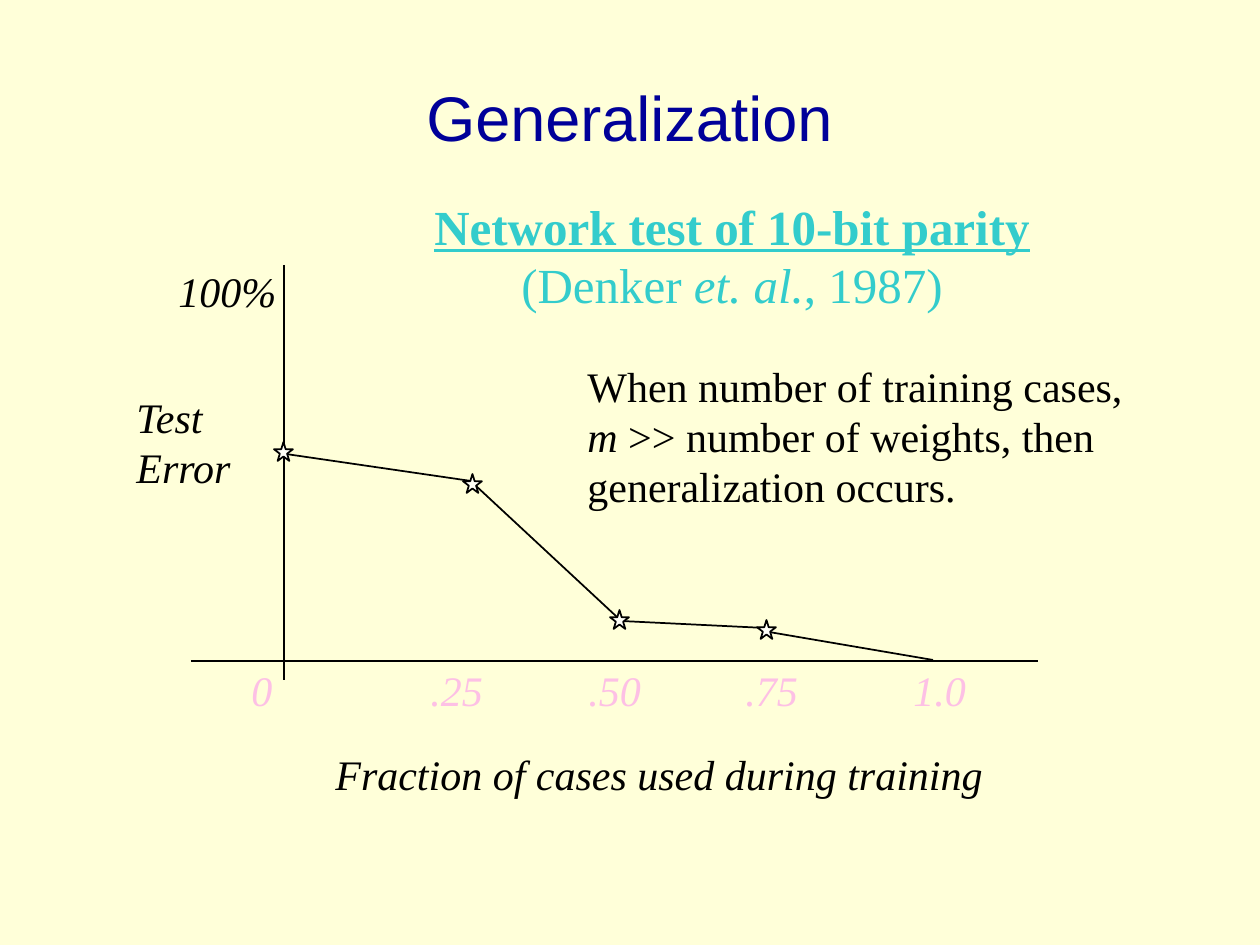
"""Build the Generalization slide: test error against fraction of cases used in training."""
from dataclasses import dataclass

from lxml import etree
from pptx import Presentation
from pptx.dml.color import RGBColor
from pptx.enum.shapes import MSO_CONNECTOR, MSO_SHAPE
from pptx.enum.text import MSO_ANCHOR, MSO_AUTO_SIZE, PP_ALIGN
from pptx.oxml.ns import qn
from pptx.util import Emu, Pt

STRAIGHT = MSO_CONNECTOR.STRAIGHT
STAR = MSO_SHAPE.STAR_5_POINT
MIDDLE = MSO_ANCHOR.MIDDLE
NO_FIT, FIT_SHAPE = MSO_AUTO_SIZE.NONE, MSO_AUTO_SIZE.SHAPE_TO_FIT_TEXT
LEFT, CENTER = PP_ALIGN.LEFT, PP_ALIGN.CENTER
SCALE = 914400 / 126


@dataclass(frozen=True)
class Theme:
    background: RGBColor = RGBColor(0xFF, 0xFF, 0xD9)
    title: RGBColor = RGBColor(0x00, 0x00, 0x99)
    ink: RGBColor = RGBColor(0x00, 0x00, 0x00)
    tick: RGBColor = RGBColor(0xFD, 0xC0, 0xE5)
    heading: RGBColor = RGBColor(0x33, 0xCC, 0xCC)
    star: RGBColor = RGBColor(0xFF, 0xFF, 0xF7)
    title_font: str = "Arial"
    body_font: str = "Times New Roman"
    title_size: Pt = Pt(36)
    heading_size: Pt = Pt(28)
    body_size: Pt = Pt(24)
    line_width: Pt = Pt(1)


theme = Theme()


def to_emu(*pixels):
    return [Emu(round(pixel * SCALE)) for pixel in pixels]


def add_text(box, lines, color=theme.ink, size=theme.body_size, align=LEFT, italic=False):
    text_frame = slide.shapes.add_textbox(*to_emu(*box)).text_frame
    text_frame.word_wrap = False
    text_frame.auto_size = FIT_SHAPE
    for index, runs in enumerate(lines):
        paragraph = text_frame.paragraphs[0] if index == 0 else text_frame.add_paragraph()
        paragraph.alignment = align
        paragraph.font.name = theme.body_font
        paragraph.font.size = size
        paragraph.font.color.rgb = color
        paragraph.font.italic = italic
        for text in runs:
            run = paragraph.add_run()
            run.text = text.strip("*")
            if text.startswith("*"):
                run.font.italic = True
    return text_frame


presentation = Presentation()
presentation.slide_width, presentation.slide_height = to_emu(1260, 945)
slide = presentation.slides.add_slide(presentation.slide_layouts[5])
slide.background.fill.solid()
slide.background.fill.fore_color.rgb = theme.background

title = slide.shapes.title
title.left, title.top, title.width, title.height = to_emu(63, 37, 1133, 158)
title.text_frame.text = "Generalization"
title.text_frame.vertical_anchor = MIDDLE
title.text_frame.auto_size = NO_FIT
paragraph = title.text_frame.paragraphs[0]
paragraph.alignment = CENTER
paragraph.font.name = theme.title_font
paragraph.font.size = theme.title_size
paragraph.font.color.rgb = theme.title

add_text((323, 742, 674, 63), [["Fraction of cases used during training"]], italic=True)
add_text((124, 385, 121, 114), [["Test"], ["Error"]], italic=True)
add_text((166, 259, 124, 63), [["100%"]], italic=True)

tick_labels = [("0", 239, 46), (".25", 418, 80), (".50", 576, 80), (".75", 733, 80), ("1.0", 901, 80)]
for label, left, width in tick_labels:
    add_text((left, 658, width, 63), [[label]], color=theme.tick, italic=True)

axes = [(284, 265, 284, 680), (191, 661, 1038, 661)]
error_segments = [
    (286, 454, 471, 481),
    (475, 485, 617, 617),
    (621, 621, 765, 628),
    (769, 632, 933, 660),
]
for ends in axes + error_segments:
    connector = slide.shapes.add_connector(STRAIGHT, *to_emu(*ends))
    connector.line.color.rgb = theme.ink
    connector.line.width = theme.line_width
    etree.SubElement(connector._element.spPr, qn("a:effectLst"))

for left, top in [(274, 442), (463, 474), (610, 610), (757, 620)]:
    star = slide.shapes.add_shape(STAR, *to_emu(left, top, 19, 19))
    star.shadow.inherit = False
    star.fill.solid()
    star.fill.fore_color.rgb = theme.star
    star.line.color.rgb = theme.ink
    star.line.width = theme.line_width

heading = add_text(
    (422, 190, 620, 130),
    [["Network test of 10-bit parity"], ["(Denker ", "*et. al.*", ", 1987)"]],
    color=theme.heading, size=theme.heading_size, align=CENTER)
heading.paragraphs[0].font.bold = True
heading.paragraphs[0].font.underline = True

add_text(
    (575, 354, 562, 164),
    [["When number of training cases,"],
     ["*m*", " >> number of weights, then"],
     ["generalization occurs."]])

presentation.save("out.pptx")
